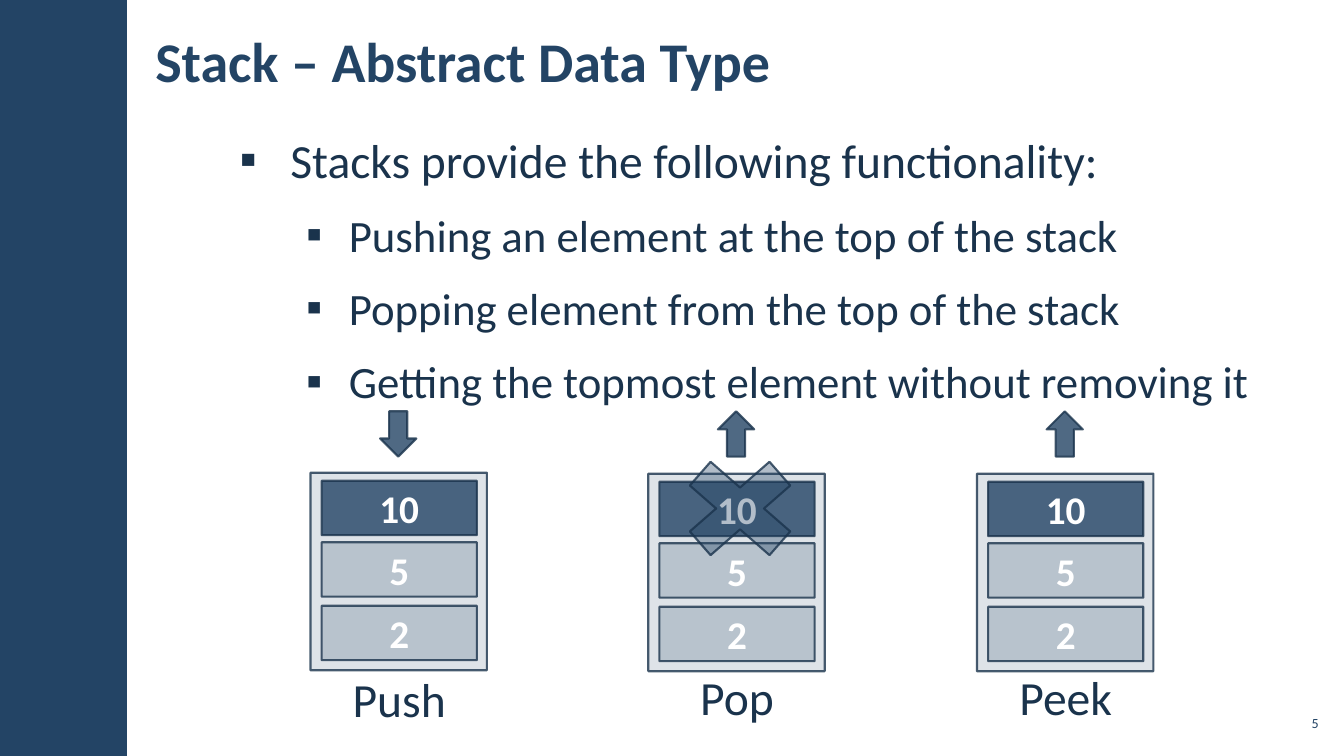
from lxml.etree import SubElement
from pptx import Presentation
from pptx.dml.color import RGBColor
from pptx.enum.shapes import MSO_SHAPE
from pptx.enum.text import MSO_ANCHOR, PP_ALIGN
from pptx.oxml.ns import qn
from pptx.util import Pt

PX = 9144
NAVY, INK, WHITE = "234465", "1A334C", "FFFFFF"
PAD, TIGHT = (12, 4, 12, 4), (4, 4, 4, 4)


def px(*values):
    return [v * PX for v in values]


def rgb(value):
    return RGBColor.from_string(value)


def set_alpha(fill, color, alpha):
    fill.solid()
    fill.fore_color.rgb = rgb(color)
    if alpha < 100:
        clr = fill._xPr.find(qn("a:solidFill"))[0]
        SubElement(clr, qn("a:alpha"), val=str(alpha * 1000))


class Deck:
    font = "Calibri"

    def __init__(self, width, height):
        self.prs = Presentation()
        self.prs.slide_width, self.prs.slide_height = px(width, height)
        self.s = self.prs.slides.add_slide(self.prs.slide_layouts[6])
        self.shapes = self.s.shapes

    def group(self):
        self.shapes = self.s.shapes.add_group_shape().shapes

    def frame(self, sp, anchor, inset):
        tf = sp.text_frame
        tf.word_wrap = True
        tf.vertical_anchor = anchor
        tf.margin_left, tf.margin_top, tf.margin_right, tf.margin_bottom = px(*inset)
        return tf

    def run(self, p, text, size, color, bold=False):
        r = p.add_run()
        r.text = text
        r.font.name, r.font.size, r.font.bold = self.font, Pt(size), bold
        r.font.color.rgb = rgb(color)

    def space(self, p):
        p.line_spacing = 1.05
        p.space_before = p.space_after = Pt(6)

    def shape(self, kind, box, alpha=100, line=True, rotation=0):
        sp = self.shapes.add_shape(kind, *px(*box))
        sp.shadow.inherit = False
        sp.rotation = rotation
        set_alpha(sp.fill, NAVY, alpha)
        if line:
            sp.line.width = Pt(1.5)
            set_alpha(sp.line.fill, INK, 80)
        else:
            sp.line.fill.background()
        return sp

    def cell(self, box, text, alpha):
        sp = self.shape(MSO_SHAPE.RECTANGLE, box, alpha)
        p = self.frame(sp, MSO_ANCHOR.MIDDLE, (10, 5, 10, 5)).paragraphs[0]
        p.alignment = PP_ALIGN.CENTER
        self.run(p, text, 28, WHITE, True)

    def text(self, box, text, size, color, align=PP_ALIGN.LEFT,
             anchor=MSO_ANCHOR.MIDDLE, inset=PAD, bold=False):
        sp = self.shapes.add_textbox(*px(*box))
        p = self.frame(sp, anchor, inset).paragraphs[0]
        p.alignment = align
        self.run(p, text, size, color, bold)
        return p

    def bullets(self, box, items):
        tf = self.frame(self.shapes.add_textbox(*px(*box)), MSO_ANCHOR.TOP, PAD)
        for i, (level, text) in enumerate(items):
            p = tf.add_paragraph() if i else tf.paragraphs[0]
            p.level = level
            self.space(p)
            size, margin, indent = ((34, 50, -50), (32, 108, -42))[level]
            pPr = p._p.get_or_add_pPr()
            pPr.set("marL", str(margin * PX))
            pPr.set("indent", str(indent * PX))
            SubElement(pPr, qn("a:buFont"), typeface="Wingdings")
            pPr[-1].set("typeface", self.font)
            SubElement(pPr, qn("a:buChar"), char="▪")
            self.run(p, text, size, INK)

    def stack(self, left, top, label, label_top, rotation):
        self.group()
        self.shape(MSO_SHAPE.RECTANGLE, (left, top, 175, 196), 15)
        for text, offset, alpha in (("2", 132, 20), ("10", 8, 80), ("5", 69, 20)):
            self.cell((left + 11, top + offset, 154, 54), text, alpha)
        self.shape(MSO_SHAPE.DOWN_ARROW, (left + 69, 408, 36, 45), 80, rotation=rotation)
        if label == "Pop":
            self.shape(MSO_SHAPE.MATH_MULTIPLY, (left + 15, 438, 152, 133), 35)
        p = self.text((left + 17, label_top, 142, 70), label, 34, INK,
                      PP_ALIGN.CENTER, MSO_ANCHOR.TOP)
        self.space(p)


def main():
    deck = Deck(1333, 750)
    deck.shape(MSO_SHAPE.RECTANGLE, (0, 0, 126, 750), line=False)
    deck.bullets((226, 123, 1086, 606), (
        (0, "Stacks provide the following functionality:"),
        (1, "Pushing an element at the top of the stack"),
        (1, "Popping element from the top of the stack"),
        (1, "Getting the topmost element without removing it"),
    ))
    deck.text((142, 11, 918, 97), "Stack – Abstract Data Type", 40, NAVY, bold=True)
    deck.text((1265, 700, 47, 34), "5", 10, NAVY, PP_ALIGN.RIGHT, inset=TIGHT)
    for stack in ((308, 469, "Push", 658, 0),
                  (643, 470, "Pop", 656, 180),
                  (969, 470, "Peek", 656, 180)):
        deck.stack(*stack)
    deck.prs.save("out.pptx")


if __name__ == "__main__":
    main()
